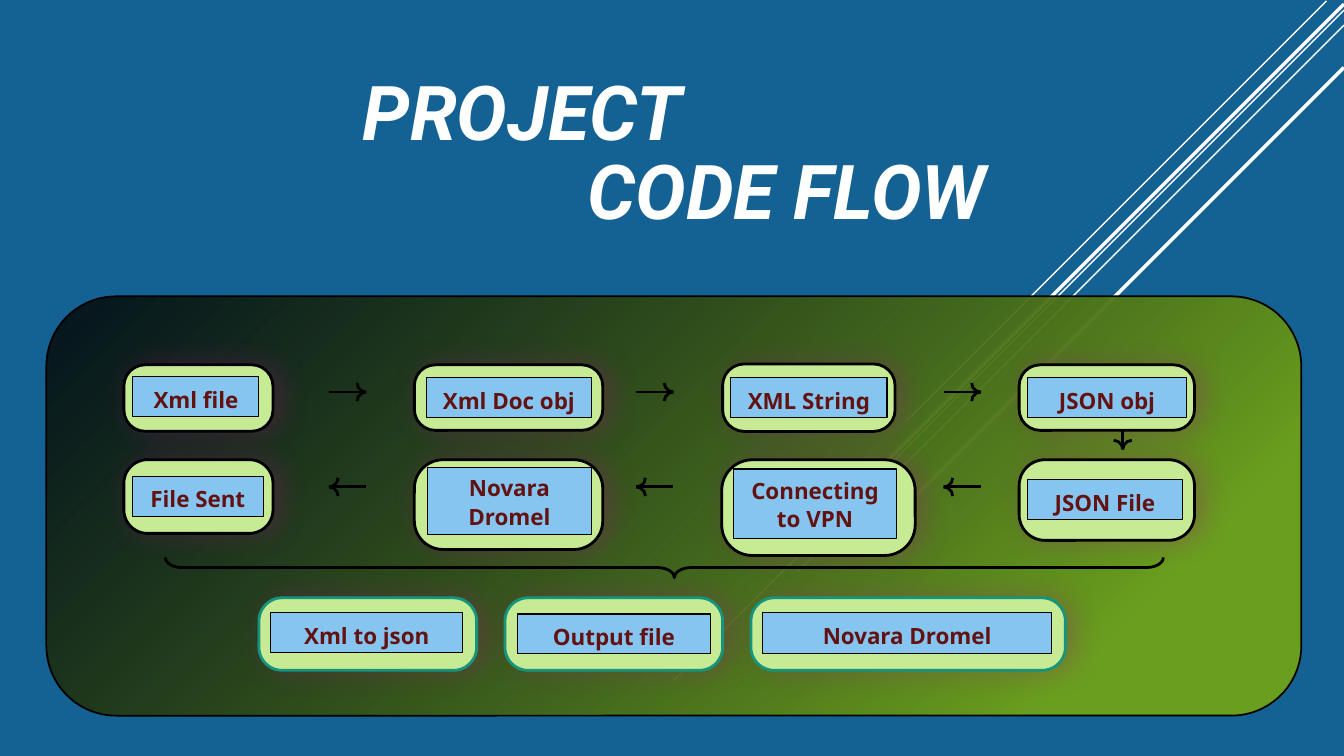
from math import cos, radians, sin

from pptx import Presentation
from pptx.dml.color import RGBColor
from pptx.enum.shapes import MSO_CONNECTOR, MSO_SHAPE
from pptx.enum.text import MSO_ANCHOR, MSO_AUTO_SIZE, PP_ALIGN
from pptx.oxml import parse_xml
from pptx.oxml.ns import nsdecls, qn
from pptx.util import Pt

STRAIGHT = MSO_CONNECTOR.STRAIGHT
ROUNDED, RECT = MSO_SHAPE.ROUNDED_RECTANGLE, MSO_SHAPE.RECTANGLE
ARC, BRACE = MSO_SHAPE.ARC, MSO_SHAPE.RIGHT_BRACE
TOP, MIDDLE = MSO_ANCHOR.TOP, MSO_ANCHOR.MIDDLE
LEFT, CENTER = PP_ALIGN.LEFT, PP_ALIGN.CENTER
NO_AUTOFIT = MSO_AUTO_SIZE.NONE

BLUE, WHITE, BLACK, TEAL = "146194", "FFFFFF", "000000", "14967C"
FRAME_FILL, LABEL_FILL, LABEL_TEXT = "C7EA94", "86C5EF", "631212"

# All lengths are in points.
HEADINGS = [("PROJECT", (252, 43, 263, 73)), ("CODE FLOW", (412.5, 99.5, 345, 73))]
# Diagonal stripes: start x, start y, drop (45 degrees down-left), weight
STRIPES = [
    (947.5, 0.7, 300, 1),
    (960, 7.2, 478.8, 1),
    (960, 18, 390.2, 1),
    (960, 2.9, 381.6, 2.5),
    (960, 48.2, 342, 2.5),
]
PANEL = (33.1, 211.7, 896.4, 299.5)

# Steps: text, frame box, label box
FLOW = [
    ("Xml file", (88.5, 260.6, 106.5, 47.5), (95, 269, 90, 28.3)),
    ("Xml Doc obj", (296, 260.6, 134.6, 46.8), (304.8, 269.8, 117.4, 28.3)),
    ("XML String", (516.2, 260, 123.2, 48.2), (522, 269.8, 111.6, 28.3)),
    ("JSON obj", (728, 260.6, 125.3, 46.8), (733.8, 269.8, 113.8, 28.3)),
    ("JSON File", (728, 328.4, 125.3, 57.6), (733.8, 342.6, 110.8, 28.3)),
    ("Connecting to VPN", (515.5, 328.4, 138.2, 68.4), (524.2, 335, 115.9, 49.7)),
    ("Novara Dromel", (296, 328.4, 134.6, 64.1), (305.2, 334.2, 117.4, 47.5)),
    ("File Sent", (88.5, 328.4, 106.5, 52.6), (94.5, 340.4, 93.6, 28.3)),
]
RESULTS = [
    ("Xml to json", (185, 427, 155.5, 51.8), (193.5, 437.6, 137, 28.3)),
    ("Output file", (360.7, 427, 155.5, 51.8), (369.4, 438.6, 138.2, 28.3)),
    ("Novara Dromel", (536.4, 427, 224.6, 51.8), (545, 437.8, 206, 28.8)),
]

ARROW_START, ARROW_STEP, ARROW_LENGTH = 235, 219.5, 26.5
ARROW_ROWS = {0: 280, 180: 347.8}  # direction in degrees: height of the row
BARB = 6.5  # radius of the arcs in an arrowhead
DOWN_ARROW = (802, 307, 14)
BRACE_CENTER, BRACE_LENGTH, BRACE_DEPTH = (474.5, 405.4), 713, 14.4


def color(hex_string):
    """Turn a hex string into a colour."""
    return RGBColor.from_string(hex_string)


def place(item, box):
    """Move and size an item."""
    item.left, item.top, item.width, item.height = (Pt(v) for v in box)


def add_block(kind, box, fill=None, line=BLACK, weight=2):
    """Add a preset shape without shadow; no fill leaves it open."""
    block = slide.shapes.add_shape(kind, *(Pt(v) for v in box))
    block.shadow.inherit = False
    if fill:
        block.fill.solid()
        block.fill.fore_color.rgb = color(fill)
    else:
        block.fill.background()
    block.line.color.rgb = color(line)
    block.line.width = Pt(weight)
    return block


def add_line(x1, y1, x2, y2, line, weight):
    """Add a straight connector without shadow."""
    connector = slide.shapes.add_connector(STRAIGHT, Pt(x1), Pt(y1), Pt(x2), Pt(y2))
    connector.line.color.rgb = color(line)
    connector.line.width = Pt(weight)
    connector._element.spPr.append(parse_xml(f"<a:effectLst {nsdecls('a')}/>"))


def write(item, text, font, size, ink, align, anchor):
    """Write one bold paragraph into an item and return it."""
    frame = item.text_frame
    frame.text = text
    frame.auto_size = NO_AUTOFIT
    frame.vertical_anchor = anchor
    paragraph = frame.paragraphs[0]
    paragraph.alignment = align
    paragraph.font.name, paragraph.font.size = font, Pt(size)
    paragraph.font.bold = True
    paragraph.font.color.rgb = color(ink)
    return paragraph


def add_card(text, frame_box, label_box, line):
    """Add a glowing rounded frame with a text label on it."""
    frame = add_block(ROUNDED, frame_box, FRAME_FILL, line)
    frame.adjustments[0] = 0.32
    frame._element.spPr.find(qn("a:effectLst")).append(parse_xml(
        f'<a:outerShdw {nsdecls("a")} blurRad="{Pt(20)}" dist="{Pt(5)}" dir="0">'
        '<a:srgbClr val="A50E82"><a:alpha val="28000"/></a:srgbClr></a:outerShdw>'))
    label = add_block(RECT, label_box, LABEL_FILL, weight=0.75)
    label.text_frame.word_wrap = True
    paragraph = write(label, text, "Noto Sans", 16, LABEL_TEXT, CENTER, MIDDLE)
    two_lines = label_box[3] > 40
    paragraph.line_spacing = 1.06 if two_lines else 1.2


def add_arrow(x, y, length, angle):
    """Add an arrow from x, y whose head is two quarter arcs."""
    dx, dy = cos(radians(angle)), sin(radians(angle))
    tip_x, tip_y = x + length * dx, y + length * dy
    add_line(x, y, tip_x, tip_y, BLACK, 2)
    for side, turn in ((1, 180), (-1, 270)):
        left = tip_x + side * BARB * dy - BARB
        top = tip_y - side * BARB * dx - BARB
        arc = add_block(ARC, (left, top, 2 * BARB, 2 * BARB))
        arc.rotation = (turn + angle) % 360


prs = Presentation()
prs.slide_width, prs.slide_height = Pt(960), Pt(540)
slide = prs.slides.add_slide(prs.slide_layouts[0])
slide.background.fill.solid()
slide.background.fill.fore_color.rgb = color(BLUE)

for heading, (text, box) in zip(slide.placeholders, HEADINGS):
    place(heading, box)
    heading.text_frame.word_wrap = False
    paragraph = write(heading, text, "Roboto", 54, WHITE, LEFT, TOP)
    paragraph.font.italic = True
    paragraph.space_before = Pt(0)

for x, y, drop, weight in STRIPES:
    add_line(x, y, x - drop, y + drop, WHITE, weight)

panel = add_block(ROUNDED, PANEL, weight=1.25)
panel_props = panel._element.spPr
panel_props.replace(panel_props.find(qn("a:noFill")), parse_xml(
    f'<a:gradFill {nsdecls("a")}><a:gsLst>'
    '<a:gs pos="0"><a:srgbClr val="000000"><a:alpha val="79000"/></a:srgbClr></a:gs>'
    '<a:gs pos="84000"><a:srgbClr val="6A9E1F"/></a:gs></a:gsLst>'
    '<a:path path="circle"><a:fillToRect r="100000" b="100000"/></a:path></a:gradFill>'))

for cards, line in ((FLOW, BLACK), (RESULTS, TEAL)):
    for card in cards:
        add_card(*card, line)

for angle, y in ARROW_ROWS.items():
    for gap in range(3):
        x = ARROW_START + gap * ARROW_STEP + (ARROW_LENGTH if angle else 0)
        add_arrow(x, y, ARROW_LENGTH, angle)
add_arrow(*DOWN_ARROW, 90)

center_x, center_y = BRACE_CENTER
brace = add_block(BRACE, (center_x - BRACE_DEPTH / 2, center_y - BRACE_LENGTH / 2,
                          BRACE_DEPTH, BRACE_LENGTH))
brace.rotation = 90
brace.adjustments[0], brace.adjustments[1] = 0.84, 0.49

prs.save("out.pptx")
